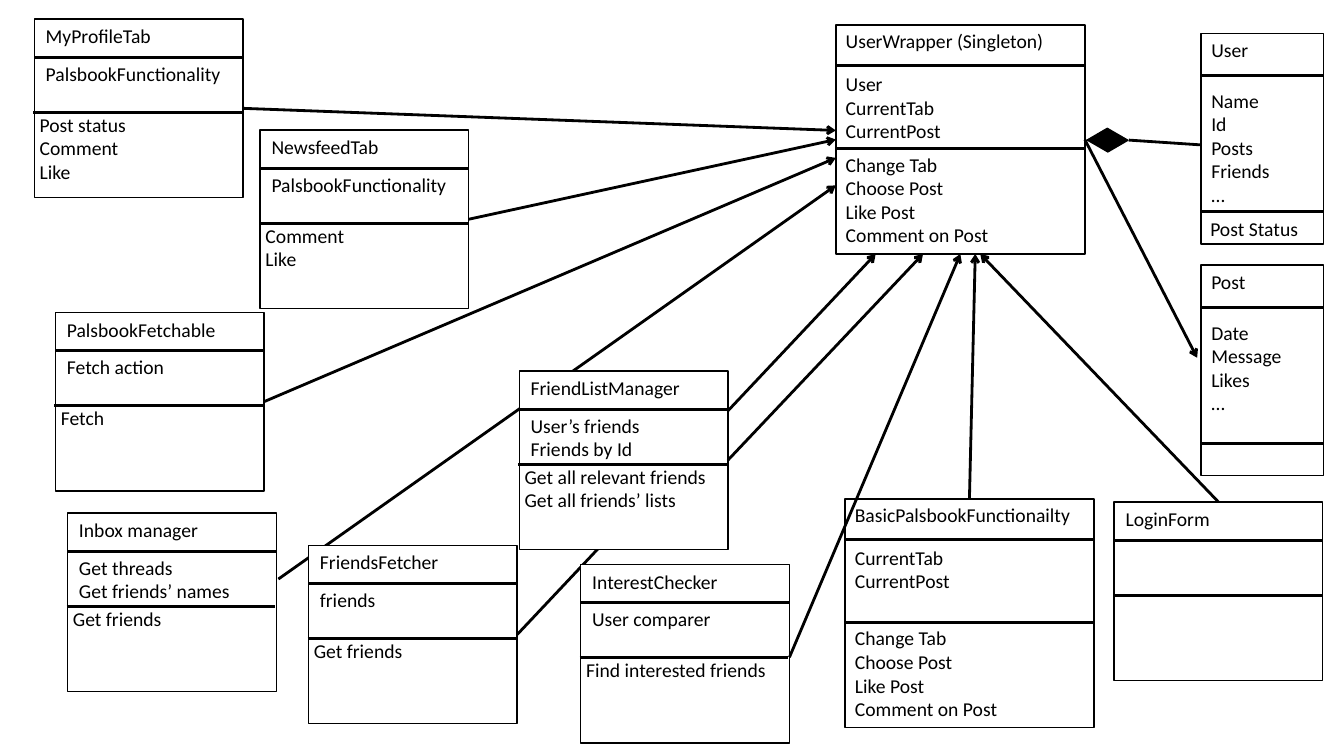
from collections import namedtuple
from pptx import Presentation
from pptx.dml.color import RGBColor
from pptx.enum.shapes import MSO_CONNECTOR, MSO_SHAPE
from pptx.oxml.ns import qn
from pptx.util import Inches, Pt
from lxml.etree import SubElement

BLACK = RGBColor(0, 0, 0)
WHITE = RGBColor(255, 255, 255)
COLS, ROWS = 133.3, 75

Layout = namedtuple("Layout", "width height rules texts")
UmlClass = namedtuple("UmlClass", "layout x y title fields actions")
Anchor = namedtuple("Anchor", "title across down")

TAB = Layout(20.7, 17.7, [(0, 3.8), (-0.1, 9.25)], [(0.15, 0), (0.15, 3.75), (-0.45, 8.8)])
CORE = Layout(24.7, 22.7, [(0, 4), (0, 12.25)], [(0, -0.1), (0, 4.15), (0, 12.15)])
ENTITY = Layout(12.2, 20.9, [(0, 4.2), (0, 17.7)], [(0.05, 0), (0.05, 5), (-0.05, 17.7)])

WRAPPER = "UserWrapper (Singleton)"
BASIC = "BasicPalsbookFunctionailty"
CORE_ACTIONS = "Change Tab\nChoose Post\nLike Post\nComment on Post"

CLASSES = [
    UmlClass(CORE, 82.9, 2.5, WRAPPER, "User\nCurrentTab\nCurrentPost", CORE_ACTIONS),
    UmlClass(ENTITY, 119.1, 3.3, "User", "Name\nId\nPosts\nFriends\n…", "Post Status"),
    UmlClass(ENTITY, 119.1, 26.3, "Post", "Date\nMessage\nLikes\n…", ""),
    UmlClass(TAB, 3.4, 1.9, "MyProfileTab", "PalsbookFunctionality", "Post status\nComment\nLike"),
    UmlClass(TAB, 25.8, 12.9, "NewsfeedTab", "PalsbookFunctionality", "Comment\nLike"),
    UmlClass(TAB, 5.5, 31, "PalsbookFetchable", "Fetch action", "Fetch"),
    UmlClass(TAB, 110.5, 49.8, "LoginForm", "", ""),
    UmlClass(CORE, 83.8, 49.5, BASIC, "CurrentTab\nCurrentPost", CORE_ACTIONS),
    UmlClass(TAB, 30.6, 54.1, "FriendsFetcher", "friends", "Get friends"),
    UmlClass(TAB, 51.5, 36.8, "FriendListManager", "User’s friends\nFriends by Id",
             "Get all relevant friends\nGet all friends’ lists"),
    UmlClass(TAB, 57.6, 56, "InterestChecker", "User comparer", "Find interested friends"),
    UmlClass(TAB, 6.7, 50.9, "Inbox manager", "Get threads\nGet friends’ names", "Get friends"),
]
BY_TITLE = {uml.title: uml for uml in CLASSES}

ARROWS_BEHIND = [
    (Anchor("Inbox manager", 1.01, 0.37), Anchor(WRAPPER, 0, 0.7)),
    (Anchor("FriendsFetcher", 1, 0.5), Anchor(WRAPPER, 0.16, 1)),
]
ARROWS_IN_FRONT = [
    (Anchor("MyProfileTab", 1, 0.5), Anchor(WRAPPER, 0, 0.46)),
    (Anchor("NewsfeedTab", 1, 0.5), Anchor(WRAPPER, 0, 0.5)),
    (Anchor("PalsbookFetchable", 1, 0.5), Anchor(WRAPPER, 0, 0.58)),
    (Anchor("FriendListManager", 1, 0.5), Anchor(WRAPPER, 0.35, 1)),
    (Anchor("InterestChecker", 1, 0.52), Anchor(WRAPPER, 0.5, 1)),
    (Anchor(BASIC, 0.5, 0), Anchor(WRAPPER, 0.56, 1)),
    (Anchor("LoginForm", 0.5, 0), Anchor(WRAPPER, 0.58, 1)),
    (Anchor(WRAPPER, 1, 0.5), Anchor("Post", -0.03, 0.44)),
]


def point(anchor):
    uml = BY_TITLE[anchor.title]
    return (uml.x + anchor.across * uml.layout.width,
            uml.y + anchor.down * uml.layout.height)


class Diagram:
    font, size = "Calibri", Pt(14)
    border, stroke = Pt(1), Pt(2)
    line_rows, padding_rows = 2.35, 1

    def __init__(self, prs):
        self.s = prs.slides.add_slide(prs.slide_layouts[6])
        self.col = prs.slide_width / COLS
        self.row = prs.slide_height / ROWS

    def grid(self, *lengths):
        return [round(n * unit) for n, unit in zip(lengths, (self.col, self.row) * 2)]

    def shape(self, shapes, kind, x, y, w, h, fill):
        sp = shapes.add_shape(kind, *self.grid(x, y, w, h))
        sp.shadow.inherit = False
        sp.fill.solid()
        sp.fill.fore_color.rgb = fill
        sp.line.color.rgb = BLACK
        sp.line.width = self.border
        return sp

    def line(self, shapes, start, end, arrow=False):
        c = shapes.add_connector(MSO_CONNECTOR.STRAIGHT, *self.grid(*start, *end))
        c.line.color.rgb = BLACK
        c.line.width = self.stroke
        spPr = c.element.spPr
        if arrow:
            SubElement(spPr.find(qn("a:ln")), qn("a:tailEnd"), type="arrow")
        SubElement(spPr, qn("a:effectLst"))

    def text(self, shapes, x, y, w, text):
        h = self.padding_rows + self.line_rows * len(text.split("\n"))
        tf = shapes.add_textbox(*self.grid(x, y, w, h)).text_frame
        tf.word_wrap = True
        tf.text = text
        for p in tf.paragraphs:
            p.font.name, p.font.size = self.font, self.size
            p.font.color.rgb = BLACK

    def uml_class(self, uml):
        shapes = self.s.shapes.add_group_shape().shapes
        width, height, rules, texts = uml.layout
        self.shape(shapes, MSO_SHAPE.RECTANGLE, uml.x, uml.y, width, height, WHITE)
        for dx, dy in rules:
            left, top = uml.x + dx, uml.y + dy
            self.line(shapes, (left, top), (left + width, top))
        for (dx, dy), section in zip(texts, (uml.title, uml.fields, uml.actions)):
            if section:
                self.text(shapes, uml.x + dx, uml.y + dy, width, section)

    def arrows(self, links):
        for source, target in links:
            self.line(self.s.shapes, point(source), point(target), arrow=True)

    def composition(self, part, x, y, w, h):
        diamond = self.shape(self.s.shapes, MSO_SHAPE.PARALLELOGRAM, x, y, w, h, BLACK)
        diamond.adjustments[0] = 0.57
        diamond.rotation = 210.1
        self.line(self.s.shapes, point(part), (x + 1.1 * w, y + h / 2))


prs = Presentation()
prs.slide_width, prs.slide_height = Inches(13.33), Inches(7.5)
diagram = Diagram(prs)
diagram.arrows(ARROWS_BEHIND)
for uml in CLASSES:
    diagram.uml_class(uml)
diagram.arrows(ARROWS_IN_FRONT)
diagram.composition(Anchor("User", 0, 0.53), 108.1, 12.9, 3.5, 2)
prs.save("out.pptx")
